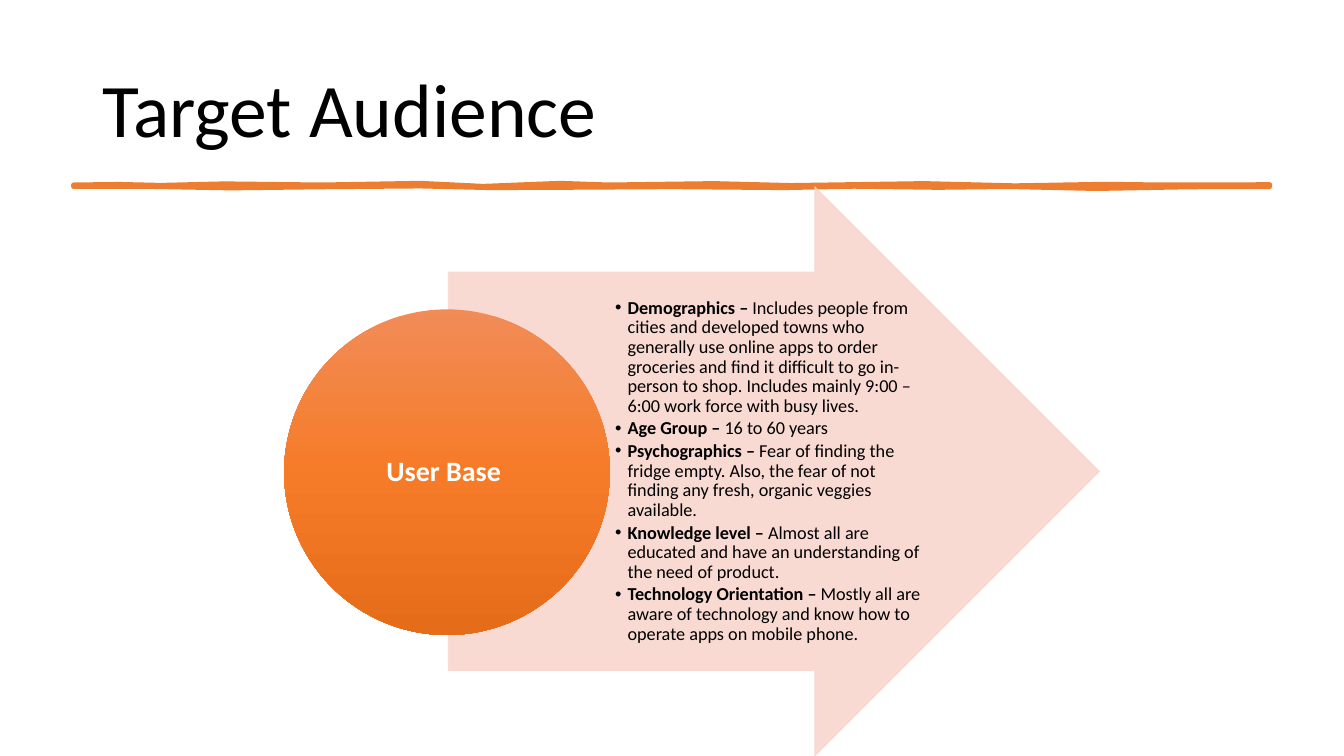
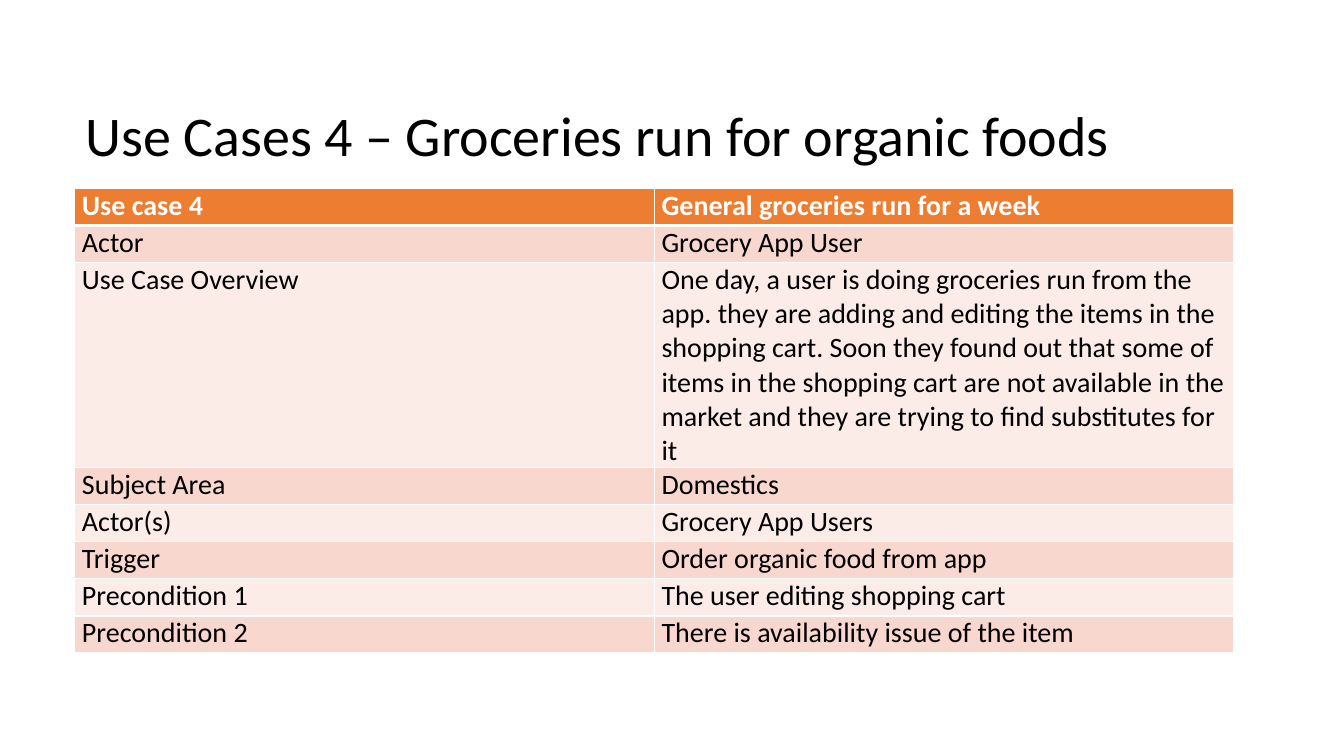
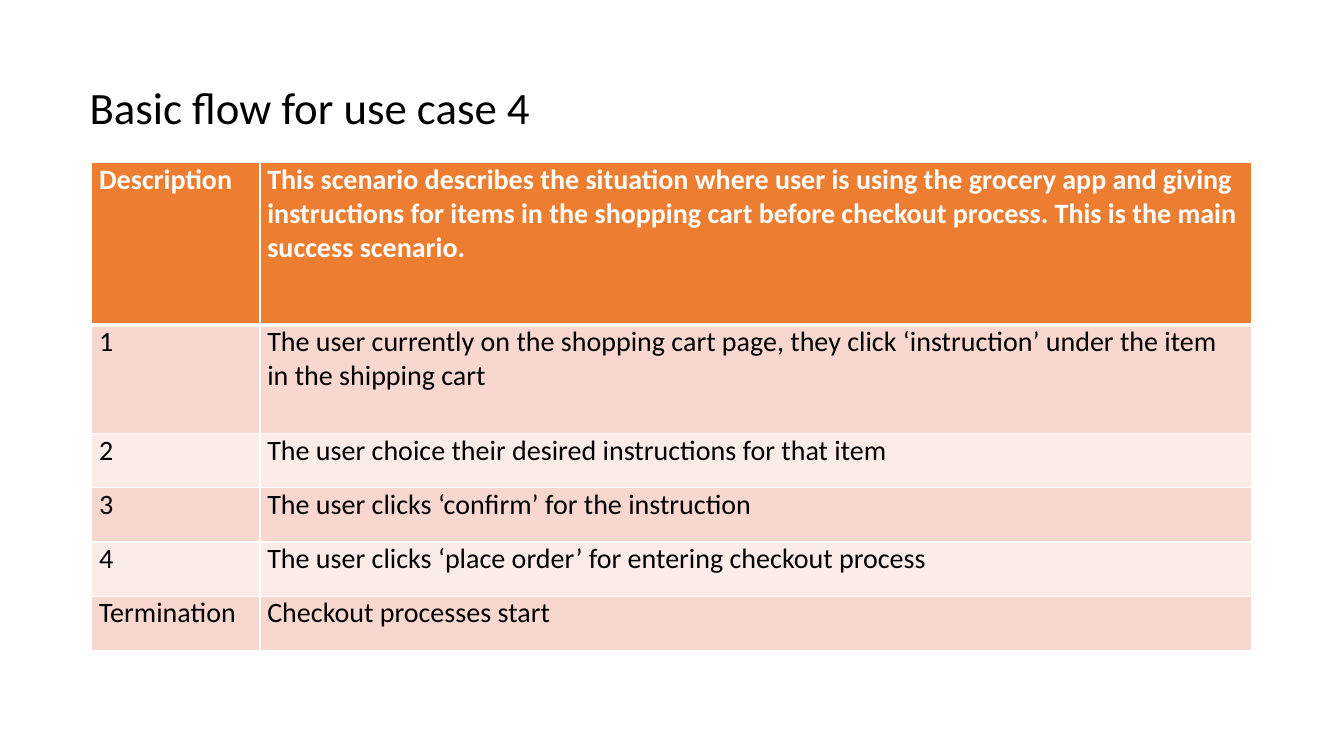
"""Build three slides on a grocery app: audience, use case and basic flow."""
from copy import deepcopy

from lxml.etree import SubElement
from pptx import Presentation
from pptx.dml.color import RGBColor
from pptx.enum.shapes import MSO_SHAPE
from pptx.enum.text import MSO_ANCHOR, PP_ALIGN
from pptx.oxml import parse_xml
from pptx.oxml.ns import nsdecls, qn
from pptx.util import Pt

FONT = "Calibri"
ORANGE, PEACH, PALE = "ED7D31", "F8D7CE", "FCECE8"
BLACK, WHITE = "000000", "FFFFFF"
GRADIENT = [(0, "F18C57"), (0.5, "F67B28"), (1, "E56C19")]

RULE_TOP = [(52.5, 132), (85, 131.6), (115, 132.3), (160, 131.2), (230, 132),
            (300, 130.8), (345, 133), (400, 130.8), (435, 132), (510, 131),
            (565, 132.4), (660, 131), (725, 132.6), (790, 131.5), (830, 132),
            (907, 131.8)]
RULE_BOTTOM = [(907, 133.4), (850, 133.6), (783, 134.8), (720, 133.4),
               (670, 134), (610, 133.2), (560, 134.2), (480, 133.5),
               (400, 134), (350, 134.2), (300, 133), (230, 133.6),
               (165, 134.4), (110, 133.4), (52.5, 133.4)]

AUDIENCE = [
    ("Demographics – ",
     "Includes people from cities and developed towns who generally use online "
     "apps to order groceries and find it difficult to go in-person to shop. "
     "Includes mainly 9:00 – 6:00 work force with busy lives."),
    ("Age Group – ", "16 to 60 years"),
    ("Psychographics – ",
     "Fear of finding the fridge empty. Also, the fear of not finding any "
     "fresh, organic veggies available."),
    ("Knowledge level – ",
     "Almost all are educated and have an understanding of the need of product."),
    ("Technology Orientation – ",
     "Mostly all are aware of technology and know how to operate apps on "
     "mobile phone."),
]

USE_CASE = [
    ("Use case 4", "General groceries run for a week"),
    ("Actor", "Grocery App User"),
    ("Use Case Overview",
     "One day, a user is doing groceries run from the app. they are adding and "
     "editing the items in the shopping cart. Soon they found out that some of "
     "items in the shopping cart are not available in the market and they are "
     "trying to find substitutes for it"),
    ("Subject Area", "Domestics"),
    ("Actor(s)", "Grocery App Users"),
    ("Trigger", "Order organic food from app"),
    ("Precondition 1", "The user editing shopping cart"),
    ("Precondition 2", "There is availability issue of the item"),
]

FLOW = [
    ("Description",
     "This scenario describes the situation where user is using the grocery app "
     "and giving instructions for items in the shopping cart before checkout "
     "process. This is the main success scenario."),
    ("1", "The user currently on the shopping cart page, they click "
          "‘instruction’ under the item in the shipping cart"),
    ("2", "The user choice their desired instructions for that item"),
    ("3", "The user clicks ‘confirm’ for the instruction"),
    ("4", "The user clicks ‘place order’ for entering checkout process"),
    ("Termination", "Checkout processes start"),
]


def rgb(color):
    """Turn a hex string into a colour."""
    return RGBColor.from_string(color)


def style(r, size, color=BLACK, bold=False):
    """Format one run."""
    r.font.name, r.font.size, r.font.bold = FONT, Pt(size), bold
    r.font.color.rgb = rgb(color)


def set_insets(holder, left, top, right, bottom):
    """Set the inner margins of a text frame or a cell."""
    holder.margin_left, holder.margin_top = Pt(left), Pt(top)
    holder.margin_right, holder.margin_bottom = Pt(right), Pt(bottom)


def add_box(s, box, anchor=MSO_ANCHOR.MIDDLE):
    """Add a wrapping text box and return its text frame."""
    tf = s.shapes.add_textbox(*map(Pt, box)).text_frame
    tf.word_wrap, tf.vertical_anchor = True, anchor
    return tf


def add_title(s, text, box, size, spacing=1.0, anchor=MSO_ANCHOR.MIDDLE):
    """Add the slide title."""
    p = add_box(s, box, anchor).paragraphs[0]
    p.text, p.line_spacing = text, spacing
    style(p.runs[0], size)


def add_rule(s):
    """Add the hand-drawn line below the title."""
    points = [(Pt(x), Pt(y)) for x, y in RULE_TOP + RULE_BOTTOM]
    builder = s.shapes.build_freeform(*points[0])
    builder.add_line_segments(points[1:], close=True)
    rule = builder.convert_to_shape()
    rule.shadow.inherit = False
    rule.fill.solid()
    rule.fill.fore_color.rgb = rule.line.color.rgb = rgb(ORANGE)
    rule.line.width = Pt(3.25)


def add_arrow(s, box):
    """Add the slightly transparent block arrow."""
    arrow = s.shapes.add_shape(MSO_SHAPE.RIGHT_ARROW, *map(Pt, box))
    arrow.adjustments[0], arrow.adjustments[1] = 0.7, 0.5
    arrow.shadow.inherit = False
    arrow.fill.solid()
    arrow.fill.fore_color.rgb = arrow.line.color.rgb = rgb(PEACH)
    arrow.line.width = Pt(0.5)
    for clr in arrow._element.spPr.iter(qn("a:srgbClr")):
        SubElement(clr, qn("a:alpha"), val="90000")


def add_circle(s, text, box):
    """Add the gradient circle with its label."""
    circle = s.shapes.add_shape(MSO_SHAPE.OVAL, *map(Pt, box))
    circle.shadow.inherit = False
    circle.line.fill.background()
    circle.fill.gradient()
    circle.fill.gradient_angle = 270
    first = next(circle._element.spPr.iter(qn("a:gs")))
    first.addnext(deepcopy(first))
    for stop, (position, color) in zip(circle.fill.gradient_stops, GRADIENT):
        stop.position, stop.color.rgb = position, rgb(color)
    tf = circle.text_frame
    tf.word_wrap, tf.vertical_anchor = True, MSO_ANCHOR.MIDDLE
    set_insets(tf, 1, 1, 1, 1)
    p = tf.paragraphs[0]
    p.text, p.alignment, p.line_spacing = text, PP_ALIGN.CENTER, 0.9
    style(p.runs[0], 20, WHITE, True)


def add_bullets(s, items, box):
    """Add bullets that open with a bold term."""
    tf = add_box(s, box)
    set_insets(tf, 3, 1, 1.5, 1)
    for i, (term, detail) in enumerate(items):
        p = tf.add_paragraph() if i else tf.paragraphs[0]
        p.line_spacing, p.space_after = 0.9, Pt(2)
        for text, bold in ((term, True), (detail, False)):
            r = p.add_run()
            r.text = text
            style(r, 13, bold=bold)
        pPr = p._p.get_or_add_pPr()
        pPr.set("marL", str(Pt(9)))
        pPr.set("indent", str(Pt(-9)))
        SubElement(pPr, qn("a:buFont"), typeface="Arial")
        SubElement(pPr, qn("a:buChar"), char="•")


def set_borders(cell, top, bottom):
    """Give a cell white borders."""
    tcPr = cell._tc.get_or_add_tcPr()
    for i, (side, width) in enumerate(
            (("L", 1), ("R", 1), ("T", top), ("B", bottom))):
        tcPr.insert(i, parse_xml(
            f'<a:ln{side} {nsdecls("a")} w="{Pt(width)}"><a:solidFill>'
            f'<a:srgbClr val="{WHITE}"/></a:solidFill></a:ln{side}>'))


def add_grid(s, rows, left, top, widths, heights):
    """Add a banded table with an orange header row."""
    table = s.shapes.add_table(len(rows), len(widths), Pt(left), Pt(top),
                               Pt(sum(widths)), Pt(sum(heights))).table
    for column, width in zip(table.columns, widths):
        column.width = Pt(width)
    for i, (texts, height) in enumerate(zip(rows, heights)):
        table.rows[i].height = Pt(height)
        header = i == 0
        fill = ORANGE if header else PEACH if i % 2 else PALE
        for cell, text in zip(table.rows[i].cells, texts):
            cell.text = text
            set_insets(cell, 5.25, 0, 5.25, 0)
            style(cell.text_frame.paragraphs[0].runs[0], 20,
                  WHITE if header else BLACK, header)
            cell.fill.solid()
            cell.fill.fore_color.rgb = rgb(fill)
            set_borders(cell, 3 if i == 1 else 1, 3 if header else 1)


def main():
    """Build and save the deck."""
    prs = Presentation()
    prs.slide_width, prs.slide_height = Pt(960), Pt(540)
    audience, use_case, flow = (
        prs.slides.add_slide(prs.slide_layouts[6]) for _ in range(3))

    add_title(audience, "Target Audience", (66, 28.8, 828, 104.4), 54, 0.9)
    add_rule(audience)
    add_arrow(audience, (320.2, 133.3, 465.2, 406.7))
    add_bullets(audience, AUDIENCE, (436.3, 194.4, 226.8, 284.4))
    add_circle(audience, "User Base ", (203, 221, 232.6, 232.6))

    add_title(use_case, "Use Cases 4 – Groceries run for organic foods",
              (54, 19.4, 854, 104.4), 40, 2.0)
    add_grid(use_case, USE_CASE, 53.3, 134.6, [414] * 2,
             [26.5] * 2 + [146.5] + [26.5] * 5)

    add_grid(flow, FLOW, 65.5, 116, [120.2, 708.5],
             [116, 77.6] + [38.8] * 4)
    add_title(flow, "Basic flow for use case 4", (56.9, 53.3, 358.6, 46), 32,
              anchor=MSO_ANCHOR.TOP)
    prs.save("out.pptx")


if __name__ == "__main__":
    main()
